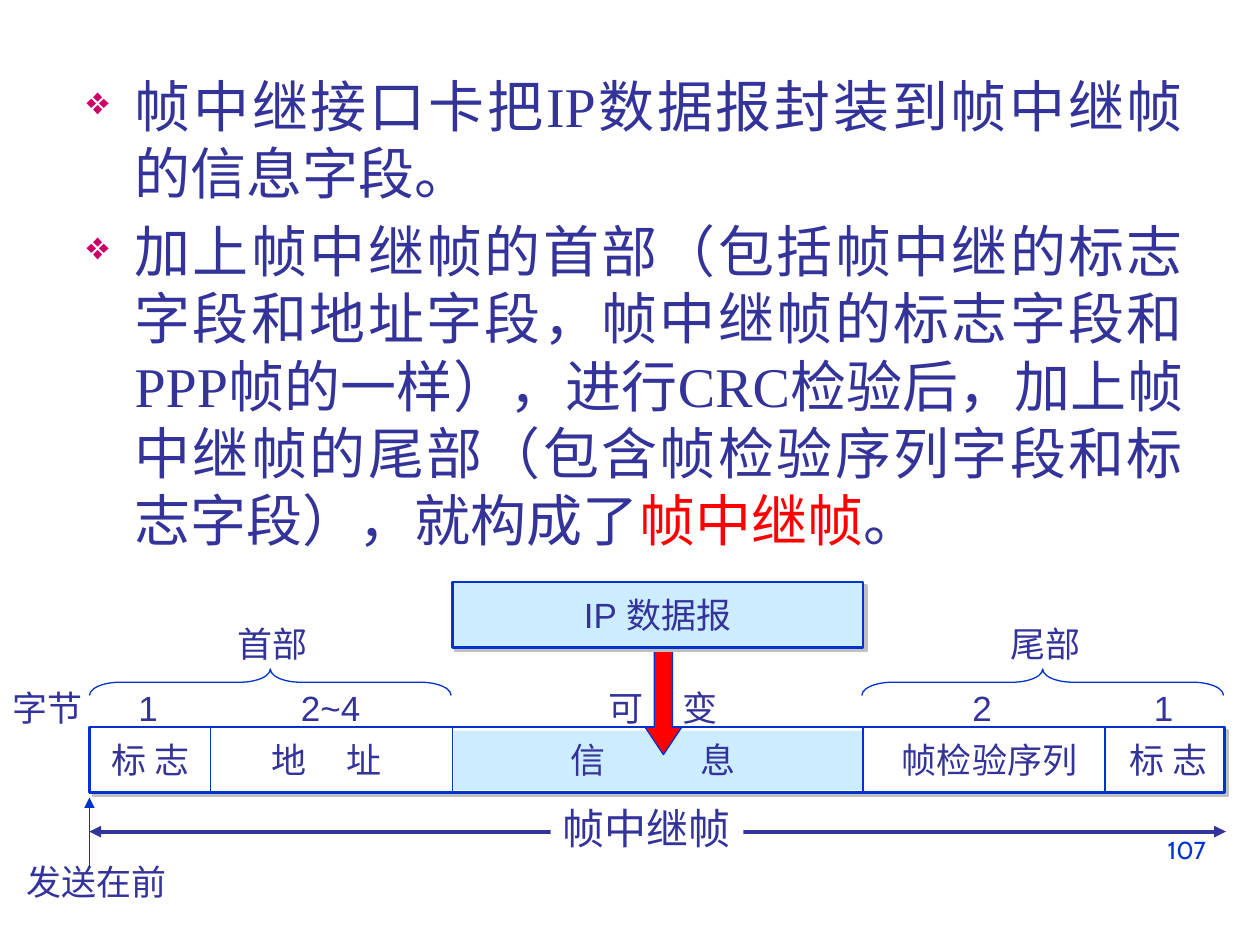
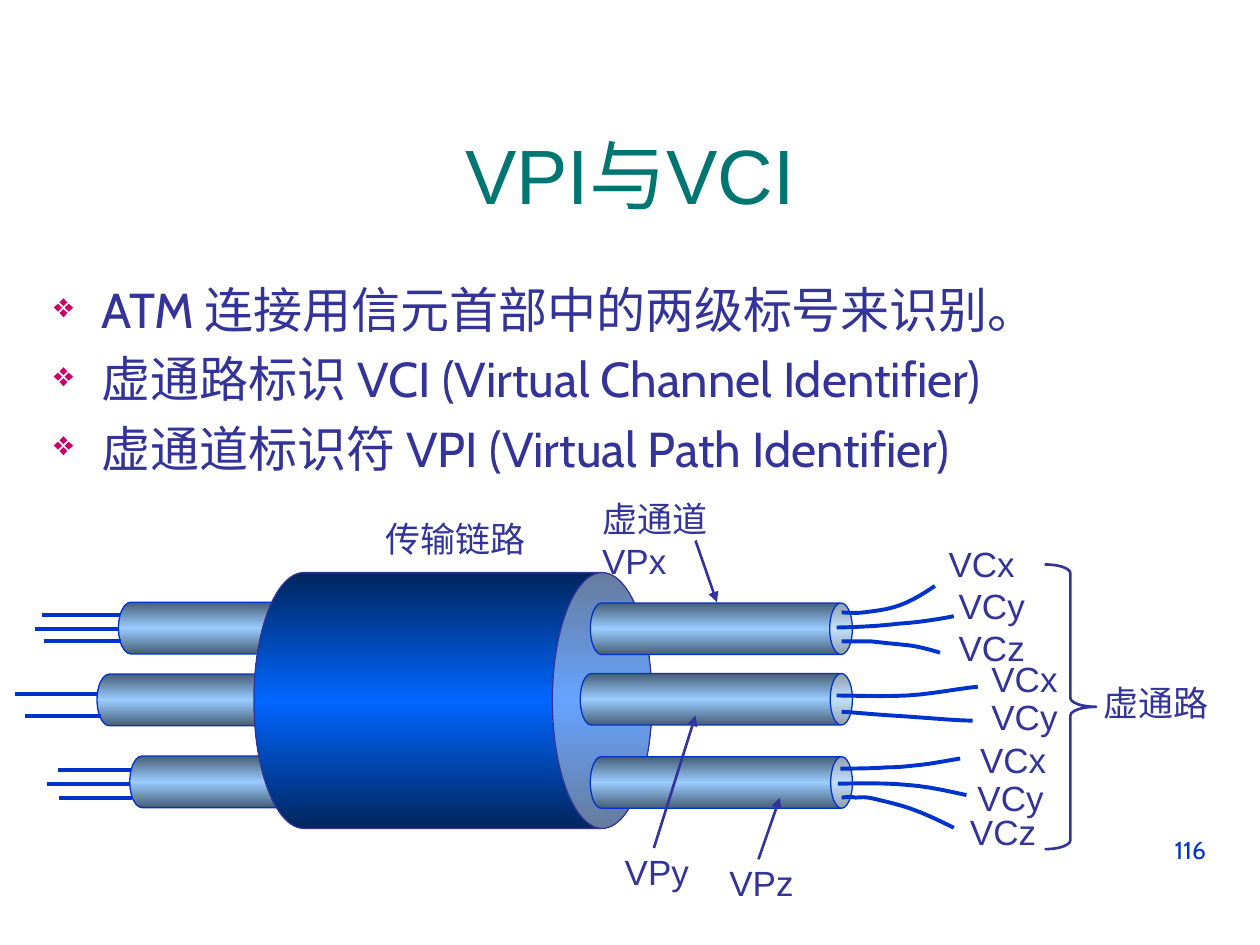
from copy import deepcopy
from typing import NamedTuple

from lxml.etree import SubElement
from pptx import Presentation
from pptx.dml.color import RGBColor
from pptx.enum.shapes import MSO_AUTO_SHAPE_TYPE as ShapeType
from pptx.enum.shapes import MSO_CONNECTOR as ConnectorType
from pptx.enum.text import MSO_ANCHOR as Anchor
from pptx.enum.text import MSO_AUTO_SIZE as AutoSize
from pptx.enum.text import PP_ALIGN as Align
from pptx.oxml.ns import qn
from pptx.util import Inches, Pt

INK, BLUE, TEAL, RED = "333399", "0033CC", "007572", "FF0000"
WHITE, PALE, SHADOW, BULLET = "FFFFFF", "CCECFF", "C0C0C0", "CC0066"
PIPE_GRADIENT = ("475E76", "99CCFF", "475E76")
LINK_GRADIENT = ("00255D", "0066FF", "00255D")
CHINESE_FONT = "Noto Sans CJK SC"
CURVE_STEPS = 6


class Box(NamedTuple):
    left: float
    top: float
    width: float
    height: float

    def lengths(self) -> list:
        return [Inches(value) for value in self]


class Label(NamedTuple):
    text: str
    left: float
    top: float
    width: float
    size: int = 20
    fill: str = ""


class Line(NamedTuple):
    start: tuple
    end: tuple
    color: str = BLUE
    width: float = 0.75
    ends: tuple = ()


class Pipe(NamedTuple):
    box: Box
    cap: float
    gradient: tuple = PIPE_GRADIENT
    outline: str = BLUE


def rgb(color: str) -> RGBColor:
    return RGBColor.from_string(color)


def apply_format(target, values: dict) -> None:
    for name, value in values.items():
        setattr(target, name, value)


def add_run(paragraph, text: str, font: str, size: int, color: str) -> None:
    run = paragraph.add_run()
    run.text = text
    apply_format(run.font, {"name": font, "size": Pt(size)})
    run.font.color.rgb = rgb(color)
    SubElement(run.font._element, qn("a:ea"), typeface=CHINESE_FONT)


def paint(shape, fill: str = "", outline: str = "", width: float = 0.75) -> None:
    if fill:
        shape.fill.solid()
        shape.fill.fore_color.rgb = rgb(fill)
    else:
        shape.fill.background()
    if outline:
        shape.line.color.rgb = rgb(outline)
        shape.line.width = Pt(width)
    else:
        shape.line.fill.background()


def add_figure(slide, kind, box: Box, fill: str = "", outline: str = "",
               width: float = 0.75, adjustments: tuple = (), rotation: int = 0):
    shape = slide.shapes.add_shape(kind, *box.lengths())
    shape.shadow.inherit = False
    shape.rotation = rotation
    for index, value in enumerate(adjustments):
        shape.adjustments[index] = value
    paint(shape, fill, outline, width)
    return shape


def add_shadow(shape) -> None:
    effects = shape._element.spPr.find(qn("a:effectLst"))
    shadow = SubElement(effects, qn("a:outerShdw"), dist=str(Pt(2.8)),
                        dir="2700000", algn="ctr", rotWithShape="0")
    SubElement(shadow, qn("a:srgbClr"), val=SHADOW)


def add_label(slide, label: Label) -> None:
    lines = label.text.split("\n")
    height = 0.1 + label.size / 60
    box = Box(label.left, label.top, label.width, height)
    shape = slide.shapes.add_textbox(*box.lengths())
    paint(shape, label.fill)
    frame = shape.text_frame
    frame.word_wrap = False
    for index, line in enumerate(lines):
        paragraph = frame.add_paragraph() if index else frame.paragraphs[0]
        add_run(paragraph, line, "Arial", label.size, INK)


def add_line(slide, line: Line) -> None:
    points = [Inches(value) for value in (*line.start, *line.end)]
    connector = slide.shapes.add_connector(ConnectorType.STRAIGHT, *points)
    connector.line.color.rgb = rgb(line.color)
    connector.line.width = Pt(line.width)
    SubElement(connector._element.spPr, qn("a:effectLst"))
    for end in line.ends:
        SubElement(connector.line._ln, qn(f"a:{end}"), type="triangle")


def add_bullets(slide, box: Box, paragraphs: list, font: str, size: int, align) -> None:
    frame = slide.shapes.add_textbox(*box.lengths()).text_frame
    frame.word_wrap = True
    for index, runs in enumerate(paragraphs):
        paragraph = frame.add_paragraph() if index else frame.paragraphs[0]
        apply_format(paragraph, {"alignment": align, "space_before": Pt(6)})
        properties = paragraph._p.get_or_add_pPr()
        properties.set("marL", str(Inches(0.38)))
        properties.set("indent", str(Inches(-0.38)))
        color = SubElement(properties, qn("a:buClr"))
        SubElement(color, qn("a:srgbClr"), val=BULLET)
        SubElement(properties, qn("a:buSzPct"), val="70000")
        SubElement(properties, qn("a:buChar"), char="❖")
        for text, text_color in runs:
            add_run(paragraph, text, font, size, text_color)


def add_page_number(slide, number: int) -> None:
    box = Box(7.17, 6.58, 2.5, 0.52)
    frame = slide.shapes.add_textbox(*box.lengths()).text_frame
    frame.word_wrap = True
    frame.paragraphs[0].alignment = Align.RIGHT
    add_run(frame.paragraphs[0], str(number), "Cabin", 14, BLUE)


def add_title(slide, text: str) -> None:
    title = slide.shapes.title
    names = ("left", "top", "width", "height")
    apply_format(title, dict(zip(names, Box(0.33, 0.75, 9.34, 1.25).lengths())))
    apply_format(title.text_frame, {"vertical_anchor": Anchor.MIDDLE,
                                    "auto_size": AutoSize.NONE})
    title.text_frame.paragraphs[0].alignment = Align.CENTER
    add_run(title.text_frame.paragraphs[0], text, "Arial", 44, TEAL)


def add_pipe(slide, pipe: Pipe) -> None:
    shape = add_figure(slide, ShapeType.CAN, pipe.box, outline=pipe.outline,
                       adjustments=(pipe.cap,), rotation=90)
    shape.fill.gradient()
    shape.fill.gradient_angle = 0
    stops = shape._element.spPr.find(qn("a:gradFill")).find(qn("a:gsLst"))
    stops.insert(1, deepcopy(stops[0]))
    for index, (stop, color) in enumerate(zip(shape.fill.gradient_stops, pipe.gradient)):
        stop.color.rgb = rgb(color)
        stop.position = index / 2


def curve_points(points: list) -> list:
    result = [points[0]]
    for first in range(0, len(points) - 1, 3):
        corners = points[first:first + 4]
        for step in range(1, CURVE_STEPS + 1):
            t = step / CURVE_STEPS
            weights = ((1 - t) ** 3, 3 * t * (1 - t) ** 2, 3 * t * t * (1 - t), t ** 3)
            result.append(tuple(sum(weight * corner[axis] for weight, corner
                                    in zip(weights, corners)) for axis in (0, 1)))
    return result


def add_curve(slide, points: list) -> None:
    start, *others = [(Inches(x), Inches(y)) for x, y in curve_points(points)]
    builder = slide.shapes.build_freeform(*start)
    builder.add_line_segments(others, close=False)
    shape = builder.convert_to_shape()
    shape.shadow.inherit = False
    paint(shape, outline=BLUE, width=2.25)


def build_frame_slide(presentation) -> None:
    slide = presentation.slides.add_slide(presentation.slide_layouts[6])
    add_page_number(slide, 107)
    add_line(slide, Line((0.71, 6.6), (9.73, 6.6), INK, 2.25, ("headEnd", "tailEnd")))
    add_label(slide, Label("帧中继帧", 4.37, 6.32, 1.53, 24, WHITE))
    add_label(slide, Label("发送在前", 0.11, 6.78, 1.31))
    add_line(slide, Line((0.71, 6.88), (0.71, 6.33), ends=("tailEnd",)))

    frame_bar = add_figure(slide, ShapeType.RECTANGLE, Box(0.71, 5.77, 9.01, 0.52),
                           WHITE, BLUE, 1.5)
    add_shadow(frame_bar)
    add_figure(slide, ShapeType.RECTANGLE, Box(3.6, 5.8, 3.26, 0.47), PALE)
    for divider in (1.67, 3.59, 6.85, 8.77):
        add_line(slide, Line((divider, 5.77), (divider, 6.29)))

    field_names = [("标 志", 0.79, 0.83), ("地", 2.06, 0.48), ("址", 2.65, 0.48),
                   ("信", 4.43, 0.48), ("息", 5.46, 0.48),
                   ("帧检验序列", 7.06, 1.59), ("标 志", 8.87, 0.83)]
    byte_counts = [("字节", 0, 0.76), ("1", 1, 0.36), ("2~4", 2.29, 0.67),
                   ("可", 4.73, 0.48), ("变", 5.32, 0.48),
                   ("2", 7.62, 0.36), ("1", 9.06, 0.36)]
    for top, row in ((5.81, field_names), (5.4, byte_counts)):
        for text, left, width in row:
            add_label(slide, Label(text, left, top, width))
    for text, left in (("首部", 1.79), ("尾部", 7.92)):
        add_figure(slide, ShapeType.LEFT_BRACE, Box(left + 0.25, 3.98, 0.21, 2.87),
                   outline=BLUE, adjustments=(1.15, 0.5), rotation=90)
        add_label(slide, Label(text, left, 4.89, 0.76))

    add_bullets(slide, Box(0.59, 0.52, 8.9, 4.25), [
        [("帧中继接口卡把IP数据报封装到帧中继帧的信息字段。", INK)],
        [("加上帧中继帧的首部（包括帧中继的标志字段和地址字段，帧中继帧的标志字段和"
          "PPP帧的一样），进行CRC检验后，加上帧中继帧的尾部（包含帧检验序列字段和"
          "标志字段），就构成了", INK), ("帧中继帧", RED), ("。", INK)],
    ], "Times New Roman", 32, Align.JUSTIFY)

    add_figure(slide, ShapeType.DOWN_ARROW, Box(5.12, 5.13, 0.29, 0.86), RED, BLUE,
               adjustments=(0.5, 0.75))
    datagram = add_figure(slide, ShapeType.RECTANGLE, Box(3.59, 4.62, 3.26, 0.52),
                          PALE, BLUE, 1.5)
    add_shadow(datagram)
    apply_format(datagram.text_frame, {"vertical_anchor": Anchor.MIDDLE,
                                       "word_wrap": False})
    paragraph = datagram.text_frame.paragraphs[0]
    paragraph.alignment = Align.CENTER
    add_run(paragraph, "IP 数据报", "Arial", 20, INK)


def build_channel_slide(presentation) -> None:
    slide = presentation.slides.add_slide(presentation.slide_layouts[5])
    add_title(slide, "VPI与VCI")
    add_page_number(slide, 116)
    bullets = ["ATM 连接用信元首部中的两级标号来识别。",
               "虚通路标识 VCI (Virtual Channel Identifier)",
               "虚通道标识符 VPI (Virtual Path Identifier)"]
    add_bullets(slide, Box(0.33, 2.17, 9.34, 4.25), [[(text, INK)] for text in bullets],
                "Cabin", 28, Align.LEFT)

    pipes = [Pipe(Box(left, top, 0.41, 2.33), 0.47)
             for left, top in ((1.99, 5.04), (1.73, 4.39), (1.9, 3.82))]
    pipes.append(Pipe(Box(2.58, 3.98, 2.03, 3.16), 0.39, LINK_GRADIENT, INK))
    pipes += [Pipe(Box(5.48, 4.47, 0.41, 2.16), 0.43),
              Pipe(Box(5.52, 5.17, 0.41, 2.08), 0.42),
              Pipe(Box(5.52, 3.95, 0.41, 2.08), 0.44)]
    for pipe in pipes:
        add_pipe(slide, pipe)

    for left, right, level in ((0.33, 0.95, 4.88), (0.28, 0.94, 4.99), (0.35, 0.96, 5.09),
                               (0.12, 0.78, 5.51), (0.2, 0.8, 5.68), (0.46, 1.04, 6.11),
                               (0.37, 1.03, 6.22), (0.47, 1.05, 6.33)):
        add_line(slide, Line((left, level), (right, level), width=2.25))

    channel_curves = [
        [(6.68, 4.86), (6.7, 4.86), (6.78, 4.87), (6.86, 4.86), (6.93, 4.85),
         (7.05, 4.84), (7.15, 4.8), (7.24, 4.77), (7.38, 4.68), (7.42, 4.65)],
        [(6.64, 4.98), (6.72, 4.98), (6.98, 4.97), (7.13, 4.95), (7.29, 4.94),
         (7.48, 4.91), (7.57, 4.89)],
        [(6.68, 5.09), (6.72, 5.09), (6.82, 5.09), (6.91, 5.09), (7, 5.1),
         (7.1, 5.11), (7.2, 5.12), (7.29, 5.13), (7.4, 5.16), (7.46, 5.18)],
        [(6.64, 5.52), (6.73, 5.52), (7.02, 5.53), (7.2, 5.52), (7.39, 5.51),
         (7.64, 5.46), (7.76, 5.45)],
        [(6.68, 5.65), (6.74, 5.65), (6.92, 5.67), (7.09, 5.68), (7.27, 5.69),
         (7.59, 5.72), (7.72, 5.72)],
        [(6.67, 6.1), (6.73, 6.1), (6.93, 6.1), (7.04, 6.09), (7.15, 6.09),
         (7.21, 6.08), (7.31, 6.07), (7.4, 6.06), (7.56, 6.03), (7.62, 6.02)],
        [(6.65, 6.22), (6.74, 6.22), (7.03, 6.21), (7.2, 6.23), (7.37, 6.24),
         (7.57, 6.29), (7.67, 6.31)],
        [(6.68, 6.33), (6.7, 6.33), (6.74, 6.32), (6.79, 6.33), (6.83, 6.33),
         (6.86, 6.32), (6.94, 6.34), (7.02, 6.36), (7.16, 6.39), (7.26, 6.43),
         (7.37, 6.47), (7.51, 6.54), (7.57, 6.57)],
    ]
    for points in channel_curves:
        add_curve(slide, points)

    for label in (Label("传输链路", 2.96, 4.06, 1.31), Label("虚通道\nVPx", 4.68, 3.9, 1.04),
                  Label("VPz", 5.69, 6.79, 0.71), Label("VPy", 4.86, 6.7, 0.71),
                  Label("虚通路", 8.66, 5.36, 1.04)):
        add_label(slide, label)
    for text, left, top in (("VCx", 7.43, 4.26), ("VCy", 7.51, 4.59), ("VCz", 7.51, 4.92),
                            ("VCx", 7.77, 5.17), ("VCy", 7.77, 5.47), ("VCx", 7.68, 5.81),
                            ("VCy", 7.66, 6.11), ("VCz", 7.6, 6.38)):
        add_label(slide, Label(text, left, top, 0.73))
    for start, end in (((5.52, 4.29), (5.69, 4.78)), ((6.02, 6.82), (6.19, 6.33)),
                       ((5.19, 6.73), (5.52, 5.68))):
        add_line(slide, Line(start, end, INK, 1.5, ("tailEnd",)))
    add_figure(slide, ShapeType.RIGHT_BRACE, Box(8.29, 4.48, 0.41, 2.26),
               outline=INK, width=1.5, adjustments=(0.17, 0.5))


def main() -> None:
    presentation = Presentation()
    apply_format(presentation, {"slide_width": Inches(10), "slide_height": Inches(7.5)})
    build_frame_slide(presentation)
    build_channel_slide(presentation)
    presentation.save("out.pptx")


if __name__ == "__main__":
    main()
